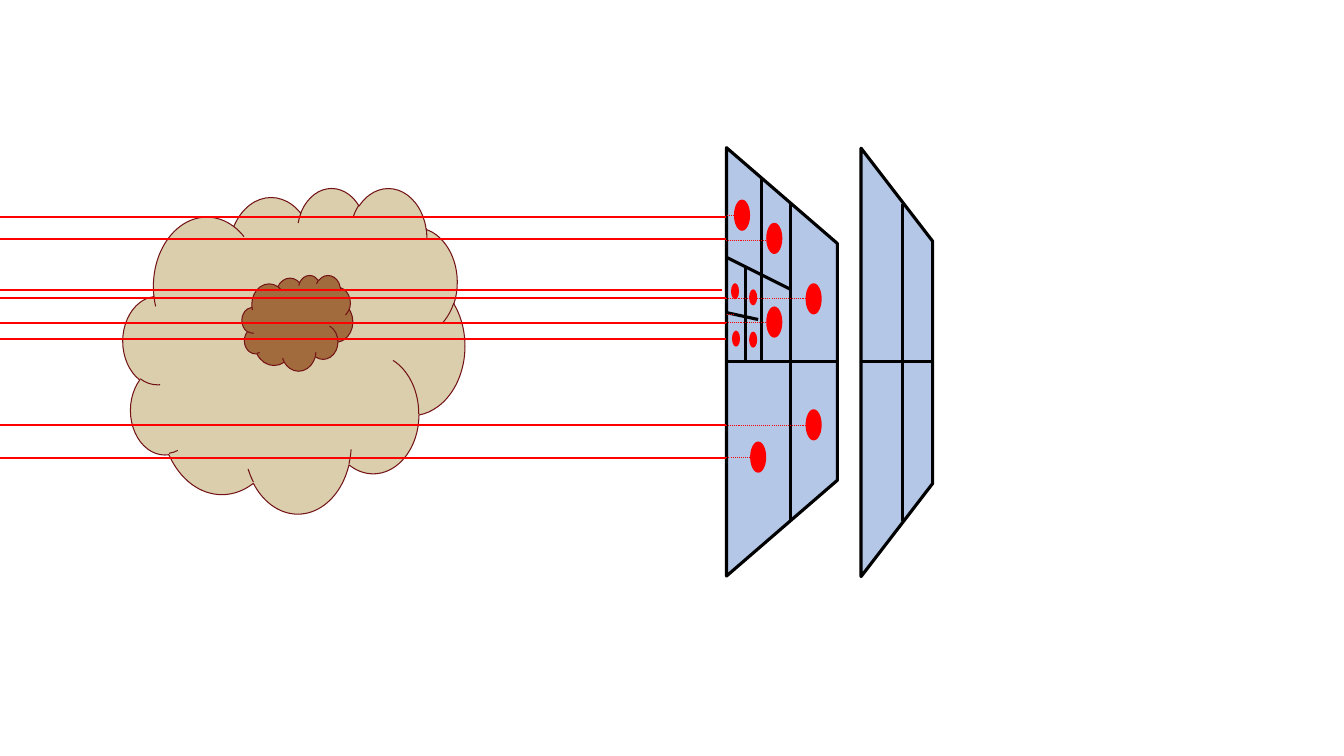
from typing import NamedTuple

from lxml.etree import SubElement
from pptx import Presentation
from pptx.dml.color import RGBColor
from pptx.enum.dml import MSO_LINE
from pptx.enum.shapes import MSO_CONNECTOR, MSO_SHAPE
from pptx.oxml.ns import qn
from pptx.shapes.autoshape import Shape
from pptx.util import Inches, Pt

BLACK = RGBColor(0x00, 0x00, 0x00)
RED = RGBColor(0xFF, 0x00, 0x00)
BLUE = RGBColor(0xB4, 0xC7, 0xE7)
SAND = RGBColor(0xDA, 0xCE, 0xAC)
BROWN = RGBColor(0xA2, 0x6B, 0x3D)
MAROON = RGBColor(0x73, 0x13, 0x16)

FRONT = 7.2
BIG = (0.16, 0.31)
SMALL = (0.08, 0.16)


class Body(NamedTuple):
    kind: MSO_SHAPE
    left: float
    top: float
    width: float
    height: float
    fill: RGBColor
    edge: RGBColor | None = None
    weight: float = 0.75


class Panel(NamedTuple):
    left: float
    top: float
    width: float
    height: float
    slant: float


class Line(NamedTuple):
    x1: float
    y1: float
    x2: float
    y2: float
    color: RGBColor = BLACK
    weight: float = 2.25
    dotted: bool = False


class Dot(NamedTuple):
    left: float
    top: float
    size: tuple[float, float]


class Trail(NamedTuple):
    tip: float
    y: float


PANELS = [
    Panel(5.63, 3.04, 4.25, 1.1, 0.864),
    Panel(6.77, 3.24, 4.25, 0.71, 1.301),
]
CLOUDS = [
    Body(MSO_SHAPE.CLOUD, 1.22, 1.86, 3.39, 3.23, SAND, MAROON),
    Body(MSO_SHAPE.CLOUD, 2.4, 2.73, 1.1, 0.95, BROWN, MAROON),
]
WALLS = [
    Line(7.84, 2.02, 7.84, 5.17),
    Line(FRONT, 3.59, 8.31, 3.59),
    Line(7.55, 1.78, 7.55, 3.59),
    Line(FRONT, 2.55, 7.84, 2.87),
    Line(7.39, 2.65, 7.39, 3.59),
    Line(FRONT, 3.1, 7.52, 3.17),
    Line(8.95, 2.02, 8.95, 5.17),
    Line(8.54, 3.59, 9.25, 3.59),
]
DOTS = [
    Dot(7.28, 1.98, BIG),
    Dot(7.6, 2.21, BIG),
    Dot(7.99, 2.81, BIG),
    Dot(7.6, 3.04, BIG),
    Dot(7.99, 4.06, BIG),
    Dot(7.44, 4.38, BIG),
    Dot(7.25, 2.81, SMALL),
    Dot(7.43, 2.87, SMALL),
    Dot(7.26, 3.28, SMALL),
    Dot(7.43, 3.29, SMALL),
]
TRAILS = [
    Trail(7.28, 2.14),
    Trail(7.6, 2.39),
    Trail(7.99, 2.96),
    Trail(7.28, 3.12),
    Trail(7.6, 3.2),
    Trail(7.99, 4.22),
    Trail(7.44, 4.54),
]
RAYS = [
    Trail(FRONT, 2.15),
    Trail(FRONT, 2.37),
    Trail(7.16, 2.88),
    Trail(FRONT, 2.96),
    Trail(FRONT, 3.2),
    Trail(FRONT, 3.36),
    Trail(FRONT, 4.22),
    Trail(FRONT, 4.54),
]

deck = Presentation()
deck.slide_width = Inches(13.33)
deck.slide_height = Inches(7.5)
slide = deck.slides.add_slide(deck.slide_layouts[6])


def draw_body(body: Body) -> Shape:
    box = (body.left, body.top, body.width, body.height)
    shape = slide.shapes.add_shape(body.kind, *map(Inches, box))
    shape.shadow.inherit = False
    shape.fill.solid()
    shape.fill.fore_color.rgb = body.fill
    if body.edge is None:
        shape.line.fill.background()
    else:
        shape.line.color.rgb = body.edge
        shape.line.width = Pt(body.weight)
    return shape


def draw_panel(panel: Panel) -> None:
    shape = draw_body(Body(MSO_SHAPE.TRAPEZOID, *panel[:4], BLUE, BLACK, 2.25))
    shape.adjustments[0] = panel.slant
    shape.rotation = 90


def draw_line(line: Line) -> None:
    ends = map(Inches, line[:4])
    link = slide.shapes.add_connector(MSO_CONNECTOR.STRAIGHT, *ends)
    link.line.color.rgb = line.color
    link.line.width = Pt(line.weight)
    if line.dotted:
        link.line.dash_style = MSO_LINE.ROUND_DOT
    SubElement(link.element.spPr, qn("a:effectLst"))


def draw_dot(dot: Dot) -> None:
    draw_body(Body(MSO_SHAPE.OVAL, dot.left, dot.top, *dot.size, RED))


for panel in PANELS:
    draw_panel(panel)
for cloud in CLOUDS:
    draw_body(cloud)
for wall in WALLS:
    draw_line(wall)
for dot in DOTS:
    draw_dot(dot)
for trail in TRAILS:
    draw_line(Line(trail.tip, trail.y, FRONT, trail.y, RED, 0.75, True))
for ray in RAYS:
    draw_line(Line(ray.tip, ray.y, 0, ray.y, RED, 1.5))

deck.save("out.pptx")
